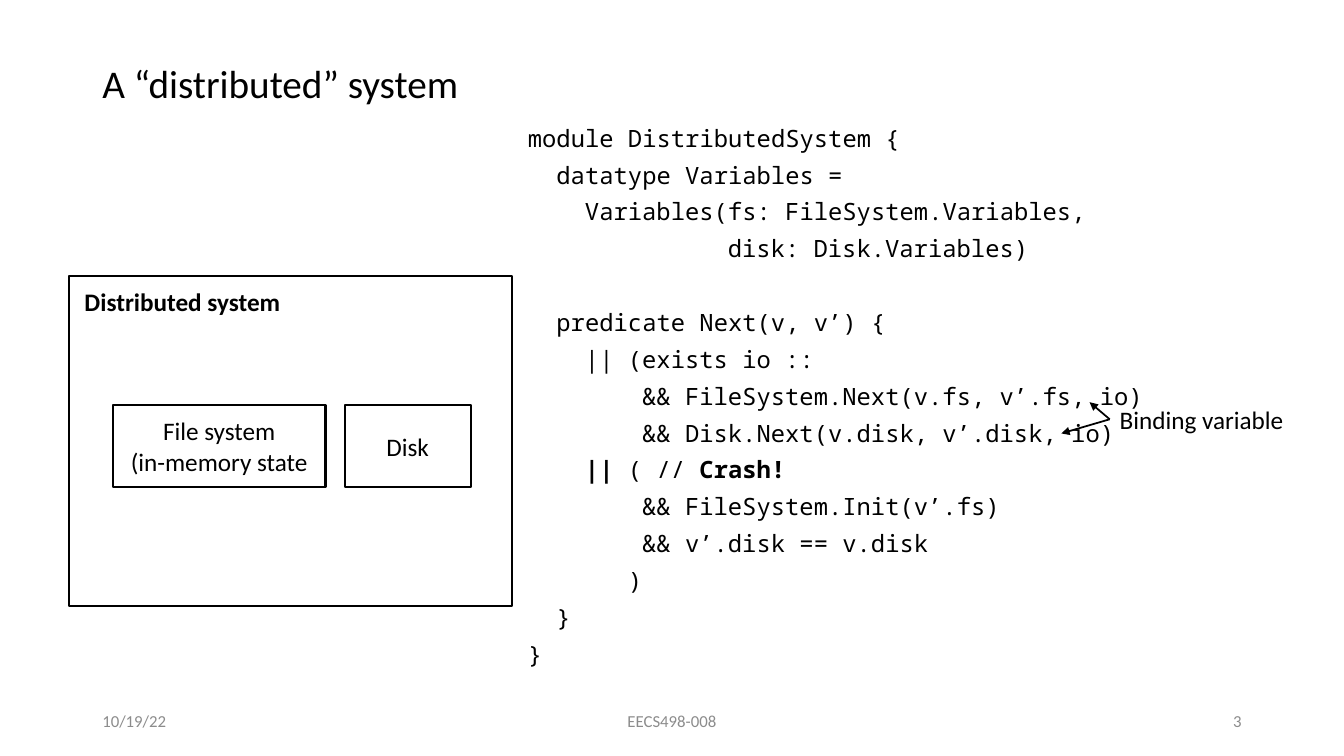
from lxml import etree
from pptx import Presentation
from pptx.dml.color import RGBColor
from pptx.enum.shapes import MSO_CONNECTOR, MSO_SHAPE
from pptx.enum.text import MSO_ANCHOR, MSO_AUTO_SIZE, PP_ALIGN
from pptx.oxml.ns import qn
from pptx.util import Pt

COLOURS = {"ink": "000000", "paper": "FFFFFF", "footer": "8C8C8C"}
BODY_FONT, CODE_FONT = "Calibri", "Noto Sans Mono"
CODE_SIZE = 17
CHARACTER_WIDTH = 10.2
CODE_GAP = 10
LINE_PITCH = 26.3

# Each code line: indent in characters, skipped lines above, (text, bold) runs
CODE_LINES = [
    (0, 0, [("module DistributedSystem {", False)]),
    (2, 0, [("datatype Variables =", False)]),
    (4, 0, [("Variables(fs: FileSystem.Variables,", False)]),
    (14, 0, [("disk: Disk.Variables)", False)]),
    (2, 1, [("predicate Next(v, v’) {", False)]),
    (4, 0, [("|| (exists io ::", False)]),
    (8, 0, [("&& FileSystem.Next(v.fs, v’.fs, io)", False)]),
    (8, 0, [("&& Disk.Next(v.disk, v’.disk, io)", False)]),
    (4, 0, [("|| ", True), ("( //", False), (" Crash!", True)]),
    (8, 0, [("&& FileSystem.Init(v’.fs)", False)]),
    (8, 0, [("&& v’.disk == v.disk", False)]),
    (7, 0, [(")", False)]),
    (2, 0, [("}", False)]),
    (0, 0, [("}", False)]),
]


def colour(name):
    return RGBColor.from_string(COLOURS[name])


def add_run(paragraph, text, size, font=BODY_FONT, ink="ink", bold=False):
    run = paragraph.add_run()
    run.text = text
    run.font.name = font
    run.font.size = Pt(size)
    run.font.bold = bold
    run.font.color.rgb = colour(ink)


def write_lines(frame, lines, size, align=PP_ALIGN.LEFT, **style):
    for index, line in enumerate(lines):
        paragraph = frame.add_paragraph() if index else frame.paragraphs[0]
        paragraph.alignment = align
        add_run(paragraph, line, size, **style)


def add_text_box(slide, box, wrap=True):
    text_box = slide.shapes.add_textbox(*map(Pt, box))
    text_box.text_frame.word_wrap = wrap
    return text_box


def add_box(slide, box, lines=()):
    shape = slide.shapes.add_shape(MSO_SHAPE.RECTANGLE, *map(Pt, box))
    shape.shadow.inherit = False
    shape.fill.solid()
    shape.fill.fore_color.rgb = colour("paper")
    shape.line.color.rgb = colour("ink")
    shape.line.width = Pt(1.5)
    shape.text_frame.vertical_anchor = MSO_ANCHOR.MIDDLE
    write_lines(shape.text_frame, lines, 18, PP_ALIGN.CENTER)


def add_title(slide, box):
    title = slide.shapes.title
    title.left, title.top, title.width, title.height = map(Pt, box)
    frame = title.text_frame
    frame.word_wrap = True
    frame.auto_size = MSO_AUTO_SIZE.NONE
    frame.vertical_anchor = MSO_ANCHOR.TOP
    frame.paragraphs[0].line_spacing = 0.9
    write_lines(frame, ["A “distributed” system"], 28)


def add_code(slide, box):
    frame = add_text_box(slide, box).text_frame
    for index, (indent, skipped, runs) in enumerate(CODE_LINES):
        paragraph = frame.add_paragraph() if index else frame.paragraphs[0]
        paragraph.line_spacing = 0.8
        paragraph.space_before = Pt(CODE_GAP + skipped * LINE_PITCH)
        properties = paragraph._p.get_or_add_pPr()
        properties.set("marL", str(Pt(indent * CHARACTER_WIDTH)))
        properties.set("indent", "0")
        for text, bold in runs:
            add_run(paragraph, text, CODE_SIZE, CODE_FONT, bold=bold)


def add_system_diagram(slide, box):
    left, top, width, height = box
    add_box(slide, box)
    heading = add_text_box(slide, (left + 4.3, top + 3.6, 155.5, 28.8), wrap=False)
    write_lines(heading.text_frame, ["Distributed system"], 18, bold=True)
    # Components share one row
    row_top, row_height = top + 92.1, 58.3
    add_box(slide, (left + 31.6, row_top, 152, row_height),
            ["File system", "(in-memory state"])
    add_box(slide, (left + 197.2, row_top, 90, row_height), ["Disk"])


def add_binding_note(slide, box):
    left, top, width, height = box
    label = add_text_box(slide, box)
    write_lines(label.text_frame, ["Binding variable"], 18)
    middle = top + height / 2
    # Arrows point at the two uses of io
    for across, down in ((-14.4, -12.2), (-34.6, 10.1)):
        arrow = slide.shapes.add_connector(
            MSO_CONNECTOR.STRAIGHT, Pt(left), Pt(middle),
            Pt(left + across), Pt(middle + down))
        arrow.begin_connect(label, 1)
        arrow.line.color.rgb = colour("ink")
        arrow.line.width = Pt(1.25)
        etree.SubElement(arrow.line._get_or_add_ln(), qn("a:tailEnd"), type="triangle")
        etree.SubElement(arrow._element.spPr, qn("a:effectLst"))


def add_footer(slide, box):
    left, top, width, height = box
    parts = [
        ("10/19/22", 0, 216, PP_ALIGN.LEFT),
        ("EECS498-008", (width - 324) / 2, 324, PP_ALIGN.CENTER),
        ("3", width - 216, 216, PP_ALIGN.RIGHT),
    ]
    for text, offset, part_width, align in parts:
        part = add_text_box(slide, (left + offset, top, part_width, height))
        part.text_frame.vertical_anchor = MSO_ANCHOR.MIDDLE
        write_lines(part.text_frame, [text], 12, align, ink="footer")


def main():
    presentation = Presentation()
    presentation.slide_width, presentation.slide_height = Pt(960), Pt(540)
    slide = presentation.slides.add_slide(presentation.slide_layouts[5])
    add_title(slide, (66, 42.5, 864, 46))
    add_footer(slide, (66, 500.5, 828, 28.8))
    add_code(slide, (370, 88.5, 590, 422))
    add_system_diagram(slide, (49, 197.3, 316.8, 235.4))
    add_binding_note(slide, (792.7, 285.1, 147, 28.8))
    presentation.save("out.pptx")


if __name__ == "__main__":
    main()
